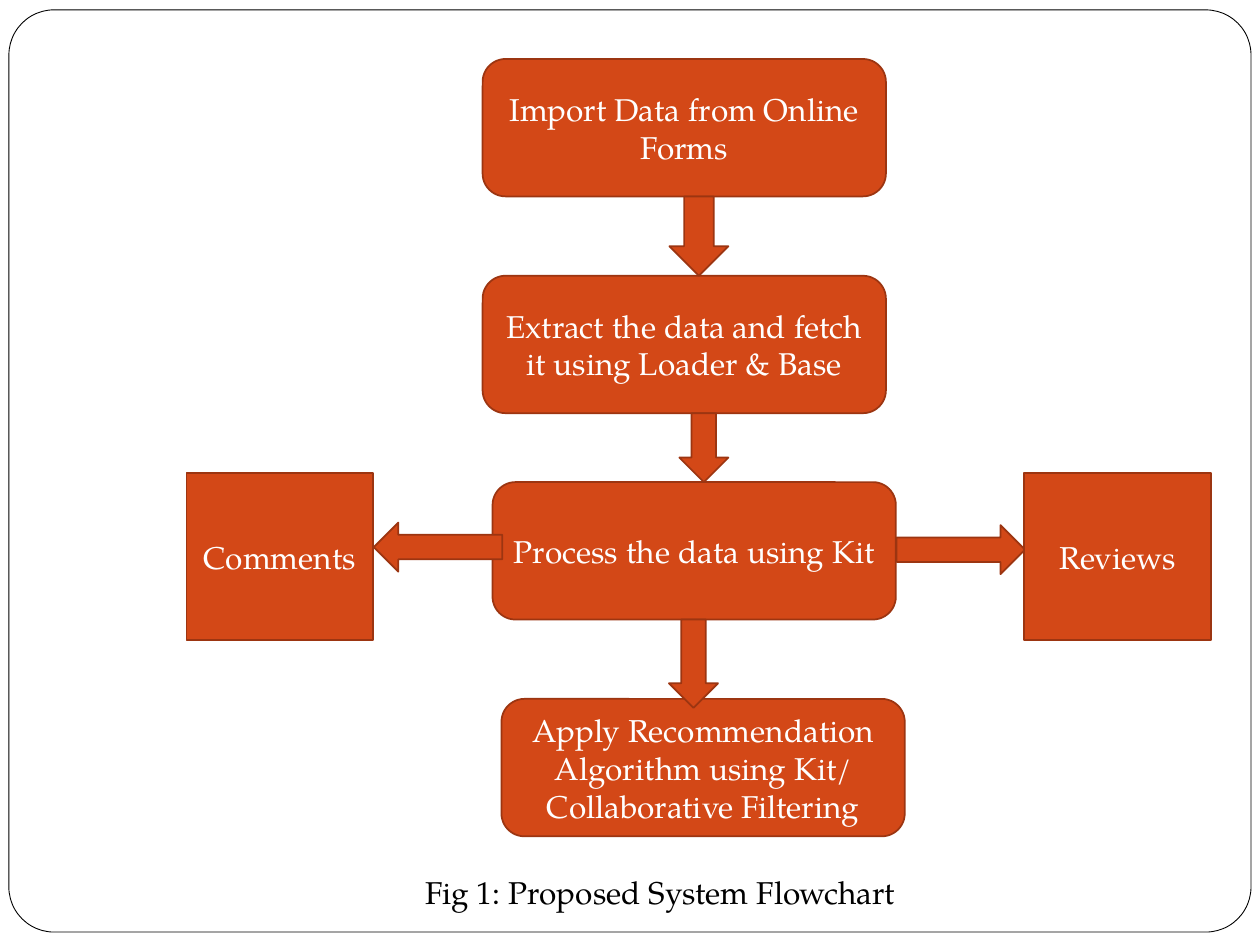
from collections import namedtuple
from pptx import Presentation
from pptx.dml.color import RGBColor
from pptx.enum.shapes import MSO_SHAPE as Preset
from pptx.enum.text import MSO_ANCHOR as Anchor, PP_ALIGN as Align
from pptx.util import Cm, Pt

Box = namedtuple("Box", "left top width height")
FONT, ORANGE, RUST, WHITE, BLACK = "TeX Gyre Pagella", "D34817", "9C3511", "FFFFFF", "000000"
STEP_WIDTH, STEP_HEIGHT = 8.13, 2.77
# label, left and top of each step within the flow
STEPS = [
    ("Import Data from Online Forms", 0, 0),
    ("Extract the data and fetch it using Loader & Base", 0, 4.37),
    ("Process the data using Kit", 0.2, 8.53),
    ("Apply Recommendation Algorithm using Kit/ Collaborative Filtering", 0.38, 12.9),
]
# centre, width and overlap into the next step of each down arrow
DOWN_ARROWS = [(4.36, 1.19, 0), (4.46, 0.99, 0), (4.25, 0.99, 0.18)]
# label, left of the side box, centre of its arrow, arrow rotation
BRANCHES = [("Comments", 0, (5.07, 1.5), 90), ("Reviews", 16.89, (15.61, 1.55), 270)]


def color(value):
    """Turn a hex string into a colour."""
    return RGBColor.from_string(value)


def apply(target, formats):
    """Set each attribute named in formats on target."""
    for name, value in formats.items():
        setattr(target, name, value)


def write(shape, text, ink, align):
    """Put one formatted paragraph into a shape."""
    frame = shape.text_frame
    frame.word_wrap = True
    para = frame.paragraphs[0]
    para.alignment = align
    span = para.add_run()
    span.text = text
    apply(span.font, {"name": FONT, "size": Pt(18)})
    span.font.color.rgb = color(ink)


def add_block(page, preset, box, text="", fill=ORANGE, line=RUST, weight=1):
    """Add a flat filled shape with an optional centred label."""
    shape = page.shapes.add_shape(preset, *map(Cm, box))
    shape.shadow.inherit = False
    shape.fill.solid()
    shape.fill.fore_color.rgb = color(fill)
    shape.line.color.rgb = color(line)
    shape.line.width = Pt(weight)
    if text:
        shape.text_frame.vertical_anchor = Anchor.MIDDLE
        write(shape, text, WHITE, Align.CENTER)
    return shape


def add_frame(page, box):
    """Draw the thin rounded border of the page."""
    frame = add_block(page, Preset.ROUNDED_RECTANGLE, box, fill=WHITE, line=BLACK, weight=0.5)
    frame.adjustments[0] = 0.049


def add_flow(page, box):
    """Draw the column of steps, then the arrows between them."""
    for label, left, top in STEPS:
        add_block(page, Preset.ROUNDED_RECTANGLE,
                  Box(box.left + left, box.top + top, STEP_WIDTH, STEP_HEIGHT), label)
    for step, following, (centre, width, overlap) in zip(STEPS, STEPS[1:], DOWN_ARROWS):
        start = step[2] + STEP_HEIGHT
        add_block(page, Preset.DOWN_ARROW,
                  Box(box.left + centre - width / 2, box.top + start,
                      width, following[2] + overlap - start))


def add_branches(page, box):
    """Draw the side boxes and the arrows that point out to them."""
    width, length = 0.99, 2.59
    for label, left, (centre, middle), rotation in BRANCHES:
        arrow = add_block(page, Preset.DOWN_ARROW,
                          Box(box.left + centre - width / 2, box.top + middle - length / 2,
                              width, length))
        arrow.rotation = rotation
        add_block(page, Preset.RECTANGLE,
                  Box(box.left + left, box.top, 3.76, box.height), label)


def add_caption(page, box):
    """Write the figure caption."""
    caption = page.shapes.add_textbox(*map(Cm, box))
    write(caption, "Fig 1: Proposed System Flowchart", BLACK, Align.LEFT)


def main():
    """Build the flowchart slide."""
    deck = Presentation()
    apply(deck, {"slide_width": Cm(25.4), "slide_height": Cm(19.05)})
    page = deck.slides.add_slide(deck.slide_layouts[6])
    add_frame(page, Box(0.18, 0.2, 25.04, 18.59))
    add_flow(page, Box(9.73, 1.19, 8.51, 15.67))
    add_branches(page, Box(3.76, 9.53, 20.65, 3.38))
    add_caption(page, Box(8.33, 17.48, 13.28, 1.02))
    deck.save("out.pptx")


main()
